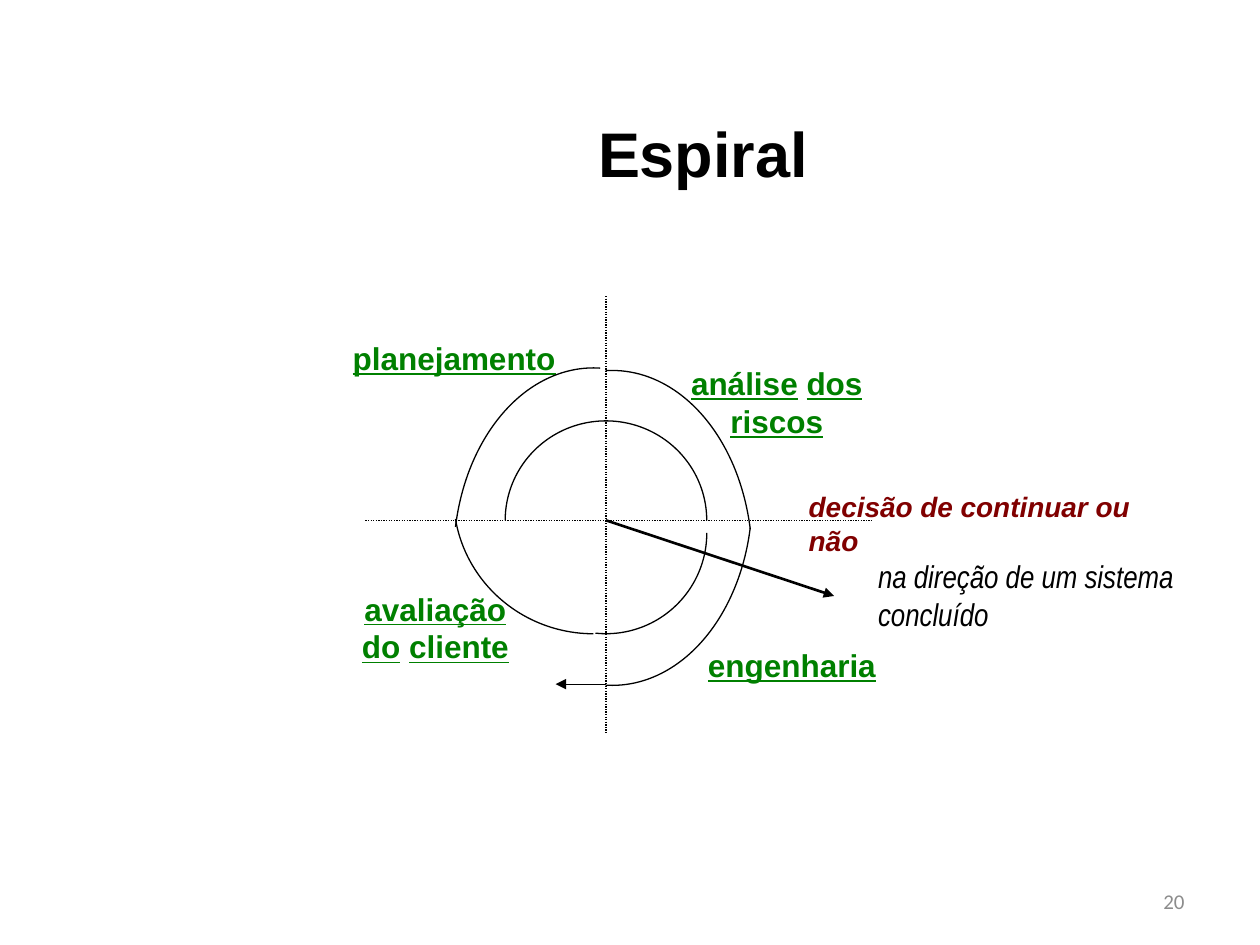
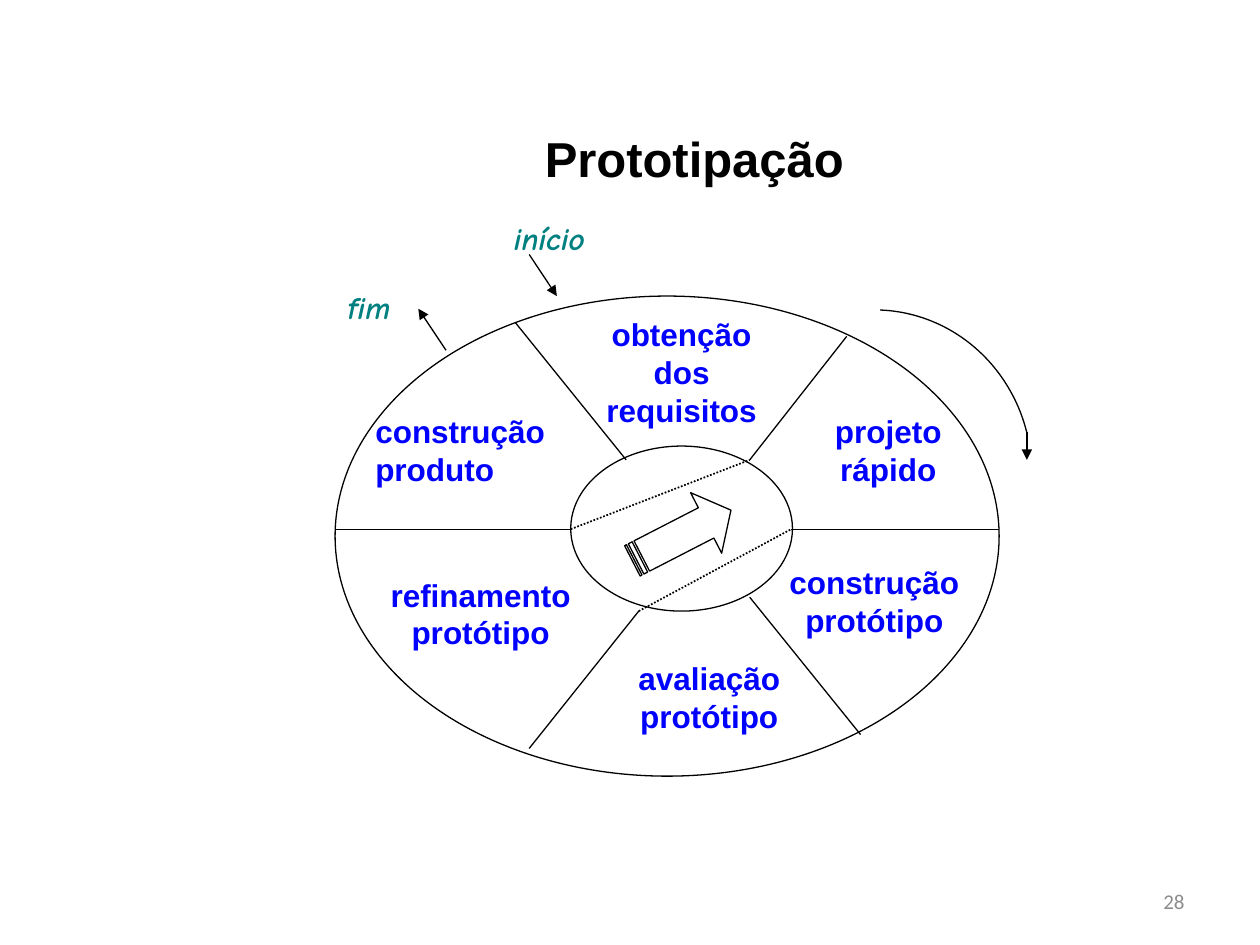
import collections

import pptx
import pptx.util
import pptx.dml.color
import pptx.enum.dml
import pptx.enum.shapes
import pptx.enum.text
import pptx.oxml
import pptx.oxml.ns

Inches = pptx.util.Inches
SHAPE = pptx.enum.shapes.MSO_SHAPE
ALIGN = pptx.enum.text.PP_ALIGN
ANCHOR = pptx.enum.text.MSO_ANCHOR
Box = collections.namedtuple("Box", "left top width height")

COLORS = {
    "paper": "FFFFFF", "ink": "000000", "page": "8C8C8C", "phase": "008000",
    "decision": "800000", "step": "0000FF", "endpoint": "008080",
}

# Text styles: color key plus font attributes
STYLES = {
    "title": ("ink", {"name": "Arial", "size": 36, "bold": True}),
    "small_title": ("ink", {"name": "Arial", "size": 28, "bold": True}),
    "page": ("page", {"name": "Calibri", "size": 12}),
    "phase": ("phase", {"name": "Arial", "size": 18, "bold": True}),
    "decision": ("decision", {"name": "Arial", "size": 16, "bold": True, "italic": True}),
    "direction": ("ink", {"name": "Arial Narrow", "size": 18, "italic": True}),
    "step": ("step", {"name": "Arial", "size": 18, "bold": True}),
    "endpoint": ("endpoint", {"name": "Comic Neue", "size": 18, "bold": True, "italic": True}),
}


def rgb(key):
    return pptx.dml.color.RGBColor.from_string(COLORS[key])


def inside(region, left, top, width, height):
    """Box in slide coordinates for a place given relative to a region."""
    return Box(region.left + left, region.top + top, width, height)


def add_run(paragraph, text, style, underline=None):
    color, values = STYLES[style]
    run = paragraph.add_run()
    run.text = text
    for attribute, value in values.items():
        setattr(run.font, attribute, pptx.util.Pt(value) if attribute == "size" else value)
    run.font.underline = underline
    run.font.color.rgb = rgb(color)


def add_text(slide, box, text, style, align):
    holder = slide.shapes.add_textbox(*map(Inches, box))
    frame = holder.text_frame
    frame.word_wrap = True
    frame.vertical_anchor = ANCHOR.MIDDLE
    frame.paragraphs[0].alignment = align
    add_run(frame.paragraphs[0], text, style)


def add_figure(slide, kind, box, filled=True, outlined=True):
    figure = slide.shapes.add_shape(kind, *map(Inches, box))
    figure.shadow.inherit = False
    if filled:
        figure.fill.solid()
        figure.fill.fore_color.rgb = rgb("paper")
    else:
        figure.fill.background()
    if outlined:
        figure.line.color.rgb = rgb("ink")
        figure.line.width = pptx.util.Pt(0.75)
    else:
        figure.line.fill.background()
    return figure


def add_label(slide, box, text, style, align):
    label = add_figure(slide, SHAPE.RECTANGLE, box, outlined=False)
    frame = label.text_frame
    frame.word_wrap = True
    frame.vertical_anchor = ANCHOR.TOP
    paragraph = frame.paragraphs[0]
    paragraph.alignment = align
    if style != "phase":
        add_run(paragraph, text, style)
        return
    # Phase names underline each word but not the gaps
    for index, word in enumerate(text.split()):
        if index:
            add_run(paragraph, " ", style, False)
        add_run(paragraph, word, style, True)


def add_arc(slide, region, center_x, center_y, radius_x, radius_y, start, end):
    box = inside(region, center_x - radius_x, center_y - radius_y, 2 * radius_x, 2 * radius_y)
    arc = add_figure(slide, SHAPE.ARC, box, filled=False)
    # Arc angles are stored in 60000ths of a degree, adjustments in 100000ths
    for index, angle in enumerate((start, end)):
        arc.adjustments[index] = angle * 0.6


def add_line(slide, region, ends, width=0.75, dotted=False, arrow=False):
    x1, y1, x2, y2 = ends
    line = slide.shapes.add_connector(
        pptx.enum.shapes.MSO_CONNECTOR.STRAIGHT,
        Inches(region.left + x1), Inches(region.top + y1),
        Inches(region.left + x2), Inches(region.top + y2))
    line.line.color.rgb = rgb("ink")
    line.line.width = pptx.util.Pt(width)
    if dotted:
        line.line.dash_style = pptx.enum.dml.MSO_LINE.ROUND_DOT
    namespace = pptx.oxml.ns.nsdecls("a")
    if arrow:
        line.line._get_or_add_ln().append(
            pptx.oxml.parse_xml(f'<a:tailEnd {namespace} type="triangle"/>'))
    line._element.spPr.append(pptx.oxml.parse_xml(f"<a:effectLst {namespace}/>"))


def add_page(deck, title, title_box, title_style, number):
    slide = deck.slides.add_slide(deck.slide_layouts[6])
    add_text(slide, Box(7.17, 6.95, 2.33, 0.4), number, "page", ALIGN.RIGHT)
    add_text(slide, title_box, title, title_style, ALIGN.CENTER)
    return slide


def draw_spiral(slide, region):
    # Phases and outcome
    for text, style, align, place in (
        ("decisão de continuar ou não", "decision", ALIGN.LEFT, (3.62, 1.49, 2.91, 0.5)),
        ("na direção de um sistema concluído", "direction", ALIGN.LEFT, (4.17, 2.02, 2.58, 0.78)),
        ("avaliação do cliente", "phase", ALIGN.CENTER, (0, 2.28, 1.51, 0.89)),
        ("engenharia", "phase", ALIGN.LEFT, (2.82, 2.73, 2.11, 0.75)),
        ("análise dos riscos", "phase", ALIGN.CENTER, (2.41, 0.49, 2.11, 0.89)),
        ("planejamento", "phase", ALIGN.LEFT, (0, 0.29, 2.11, 0.89)),
    ):
        add_label(slide, inside(region, *place), text, style, align)

    # Turns of the spiral: center, radii, start and end angle
    for turn in (
        (2.11, 1.78, 0.8, 0.79, 180, 270),
        (2.11, 1.78, 0.8, 0.79, 270, 0),
        (2.11, 1.88, 0.8, 0.8, 0, 96),
        (2.01, 1.59, 1.11, 1.09, 90, 170.7),
        (2.01, 2.08, 1.11, 1.51, 192.8, 272),
        (2.16, 2.1, 1.11, 1.51, 268, 347.2),
        (2.16, 1.59, 1.11, 1.5, 12.8, 92),
    ):
        add_arc(slide, region, *turn)

    # Axes and directions
    add_line(slide, region, (2.11, 3.08, 1.71, 3.08), arrow=True)
    for axis in ((2.11, 0, 2.11, 3.47), (0.2, 1.78, 4.22, 1.78)):
        add_line(slide, region, axis, dotted=True)
    add_line(slide, region, (2.11, 1.78, 3.92, 2.38), width=1.5, arrow=True)


def draw_prototype_wheel(slide, region):
    # Start, end and the six steps
    for text, style, align, place in (
        ("fim", "endpoint", ALIGN.LEFT, (0, 0.55, 1.21, 0.54)),
        ("início", "endpoint", ALIGN.LEFT, (1.32, 0, 1.21, 0.54)),
        ("construção produto", "step", ALIGN.LEFT, (0.22, 1.53, 1.98, 0.87)),
        ("refinamento protótipo", "step", ALIGN.CENTER, (0.22, 2.83, 1.87, 0.87)),
        ("avaliação protótipo", "step", ALIGN.CENTER, (2.09, 3.49, 1.76, 0.87)),
        ("construção protótipo", "step", ALIGN.CENTER, (3.4, 2.73, 1.76, 0.87)),
        ("projeto rápido", "step", ALIGN.CENTER, (3.62, 1.53, 1.54, 0.87)),
        ("obtenção dos requisitos", "step", ALIGN.CENTER, (1.87, 0.76, 1.76, 1.09)),
    ):
        add_label(slide, inside(region, *place), text, style, align)

    # Rim, hub and spokes
    add_figure(slide, SHAPE.OVAL, inside(region, 0, 0.66, 5.27, 3.81), filled=False)
    add_figure(slide, SHAPE.OVAL, inside(region, 1.87, 1.85, 1.76, 1.31))
    for spoke in (
        (1.43, 0.87, 2.31, 1.96), (4.06, 0.98, 3.29, 1.96), (3.62, 2.51, 5.27, 2.51),
        (3.29, 3.05, 4.17, 4.14), (2.41, 3.16, 1.54, 4.25), (1.87, 2.51, 0, 2.51),
    ):
        add_line(slide, region, spoke)

    # Shortcut through the hub
    shortcut = add_figure(slide, SHAPE.STRIPED_RIGHT_ARROW, inside(region, 2.31, 2.29, 0.88, 0.54))
    shortcut.adjustments[1] = 0.41
    shortcut.rotation = 332.8
    for edge in ((1.87, 2.51, 3.29, 1.96), (2.41, 3.16, 3.62, 2.51)):
        add_line(slide, region, edge, width=1, dotted=True)

    # Way out, way in and turning direction
    add_arc(slide, region, 4.28, 2.07, 1.25, 1.3, 272, 344.7)
    for ends in ((0.88, 1.09, 0.66, 0.76), (1.54, 0.33, 1.76, 0.66), (5.49, 1.74, 5.49, 1.96)):
        add_line(slide, region, ends, arrow=True)


def main():
    deck = pptx.Presentation()
    deck.slide_width, deck.slide_height = Inches(10), Inches(7.5)

    spiral = add_page(deck, "Espiral", Box(4.08, 0.86, 3, 0.7), "title", "20")
    draw_spiral(spiral, Box(2.7, 2.35, 6.75, 3.48))

    prototyping = add_page(deck, "Prototipação", Box(3.72, 0.97, 3.58, 0.57), "small_title", "28")
    draw_prototype_wheel(prototyping, Box(2.66, 1.69, 5.49, 4.47))

    deck.save("out.pptx")


if __name__ == "__main__":
    main()
